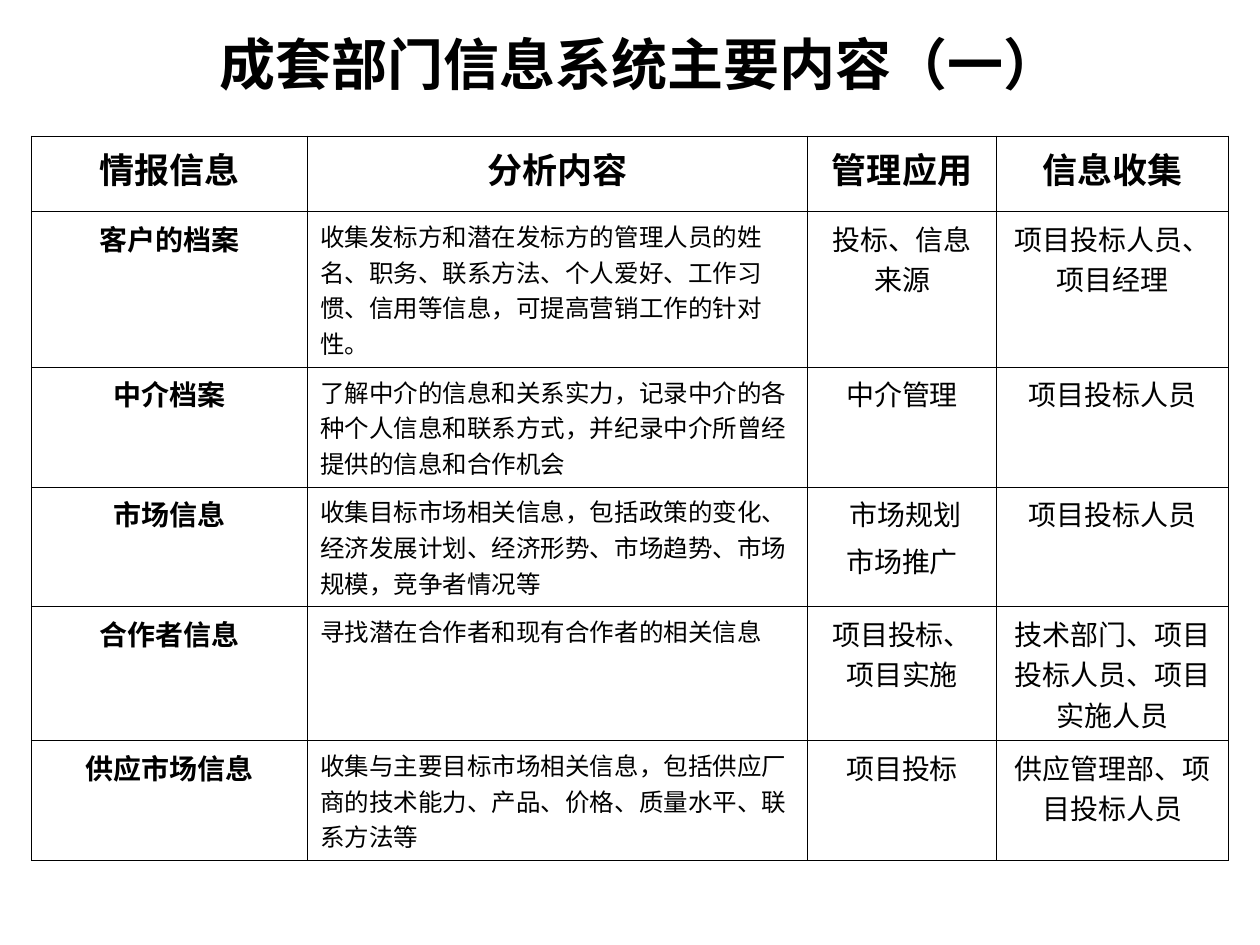
"""Build the slide on the main contents of the department information system."""
from lxml.etree import SubElement
from pptx import Presentation
from pptx.dml.color import RGBColor
from pptx.enum.lang import MSO_LANGUAGE_ID
from pptx.enum.text import MSO_ANCHOR, MSO_AUTO_SIZE, PP_ALIGN
from pptx.oxml.ns import qn
from pptx.util import Inches, Pt

THEME = {
    "font": "Times New Roman",
    "ink": RGBColor(0, 0, 0),
    "paper": RGBColor(255, 255, 255),
    "title": Pt(32),
    "header": Pt(20),
    "label": Pt(16),
    "detail": Pt(14),
    "border": Pt(0.45),
}
COLUMNS = [2.19, 3.97, 1.5, 1.84]
HEIGHTS = [0.6, 0.8, 0.85, 0.81, 0.9, 0.8]
ROWS = [
    ["情报信息", "分析内容", "管理应用", "信息收集"],
    ["客户的档案",
     "收集发标方和潜在发标方的管理人员的姓名、职务、联系方法、个人爱好、工作习惯、信用等信息，可提高营销工作的针对性。",
     "投标、信息来源", "项目投标人员、项目经理"],
    ["中介档案",
     "了解中介的信息和关系实力，记录中介的各种个人信息和联系方式，并纪录中介所曾经提供的信息和合作机会",
     "中介管理", "项目投标人员"],
    ["市场信息",
     "收集目标市场相关信息，包括政策的变化、经济发展计划、经济形势、市场趋势、市场规模，竞争者情况等",
     " 市场规划\n市场推广", "项目投标人员"],
    ["合作者信息", "寻找潜在合作者和现有合作者的相关信息",
     "项目投标、项目实施", "技术部门、项目投标人员、项目实施人员"],
    ["供应市场信息",
     "收集与主要目标市场相关信息，包括供应厂商的技术能力、产品、价格、质量水平、联系方法等",
     "项目投标", "供应管理部、项目投标人员"],
]


def write(tf, text, size, bold, align):
    tf.text = text
    for i, p in enumerate(tf.paragraphs):
        p.alignment = align
        p.space_before = Pt(4 if i else 0)
        p._p.get_or_add_pPr().set("hangingPunct", "0")
        for r in p.runs:
            values = {"name": THEME["font"], "size": size, "bold": bold,
                      "language_id": MSO_LANGUAGE_ID.SIMPLIFIED_CHINESE}
            for name, value in values.items():
                setattr(r.font, name, value)
            r.font.color.rgb = THEME["ink"]


def add_borders(cell):
    tc_pr = cell._tc.get_or_add_tcPr()
    for side in "LRTB":
        ln = SubElement(tc_pr, qn(f"a:ln{side}"), w=str(int(THEME["border"])))
        fill = SubElement(ln, qn("a:solidFill"))
        SubElement(fill, qn("a:srgbClr"), val=str(THEME["ink"]))


prs = Presentation()
prs.slide_width, prs.slide_height = Inches(10), Inches(7.5)
s = prs.slides.add_slide(prs.slide_layouts[5])

title = s.shapes.title
place = {"left": 1.33, "top": 0.25, "width": 7.5, "height": 0.5}
for name, value in place.items():
    setattr(title, name, Inches(value))
tf = title.text_frame
frame = {"word_wrap": True, "auto_size": MSO_AUTO_SIZE.NONE,
         "vertical_anchor": MSO_ANCHOR.MIDDLE}
for name, value in frame.items():
    setattr(tf, name, value)
write(tf, "成套部门信息系统主要内容（一）", THEME["title"], True, PP_ALIGN.CENTER)

table = s.shapes.add_table(len(ROWS), len(COLUMNS), Inches(0.25), Inches(1.08),
                           Inches(sum(COLUMNS)), Inches(sum(HEIGHTS))).table
table.first_row = table.horz_banding = False
for column, width in zip(table.columns, COLUMNS):
    column.width = Inches(width)
for row, height in zip(table.rows, HEIGHTS):
    row.height = Inches(height)

for i, texts in enumerate(ROWS):
    for j, text in enumerate(texts):
        cell = table.cell(i, j)
        is_detail = i > 0 and j == 1
        size = THEME["header" if i == 0 else "detail" if is_detail else "label"]
        align = PP_ALIGN.LEFT if is_detail else PP_ALIGN.CENTER
        write(cell.text_frame, text, size, i == 0 or j == 0, align)
        add_borders(cell)
        cell.fill.solid()
        cell.fill.fore_color.rgb = THEME["paper"]

prs.save("out.pptx")
